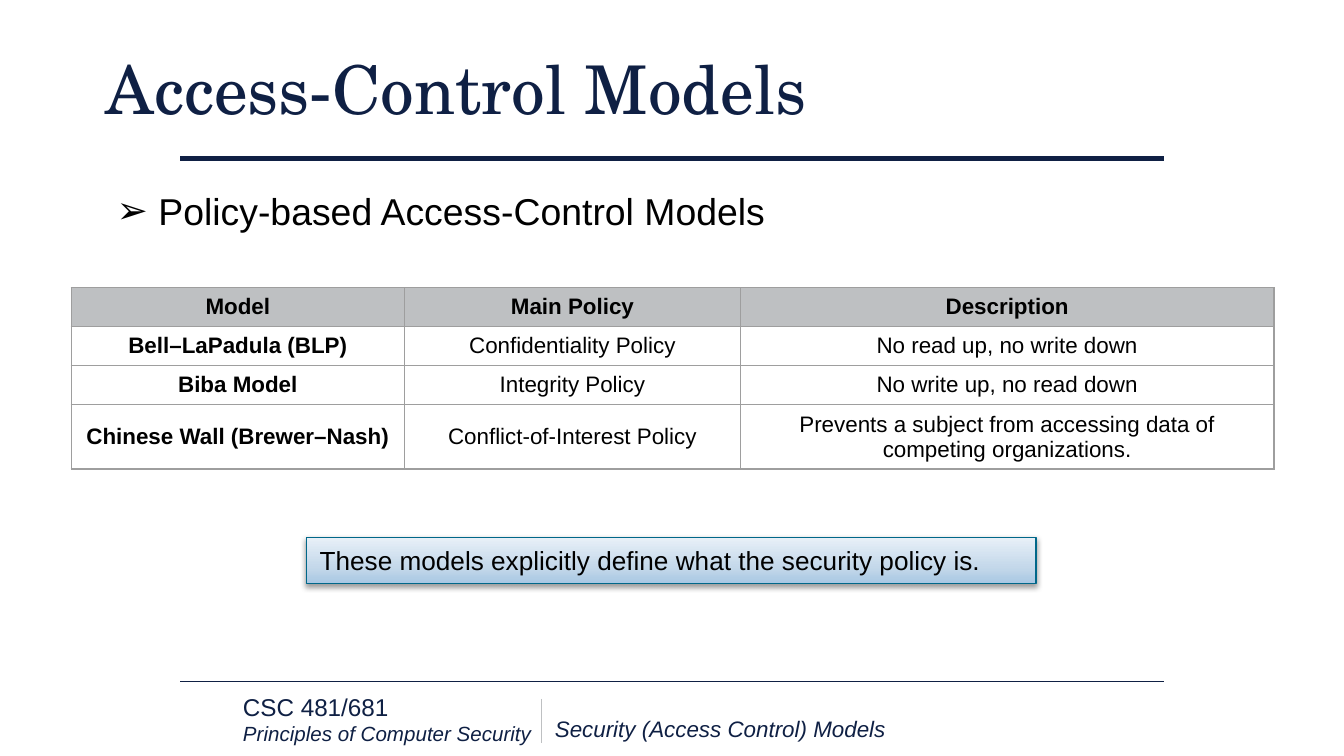
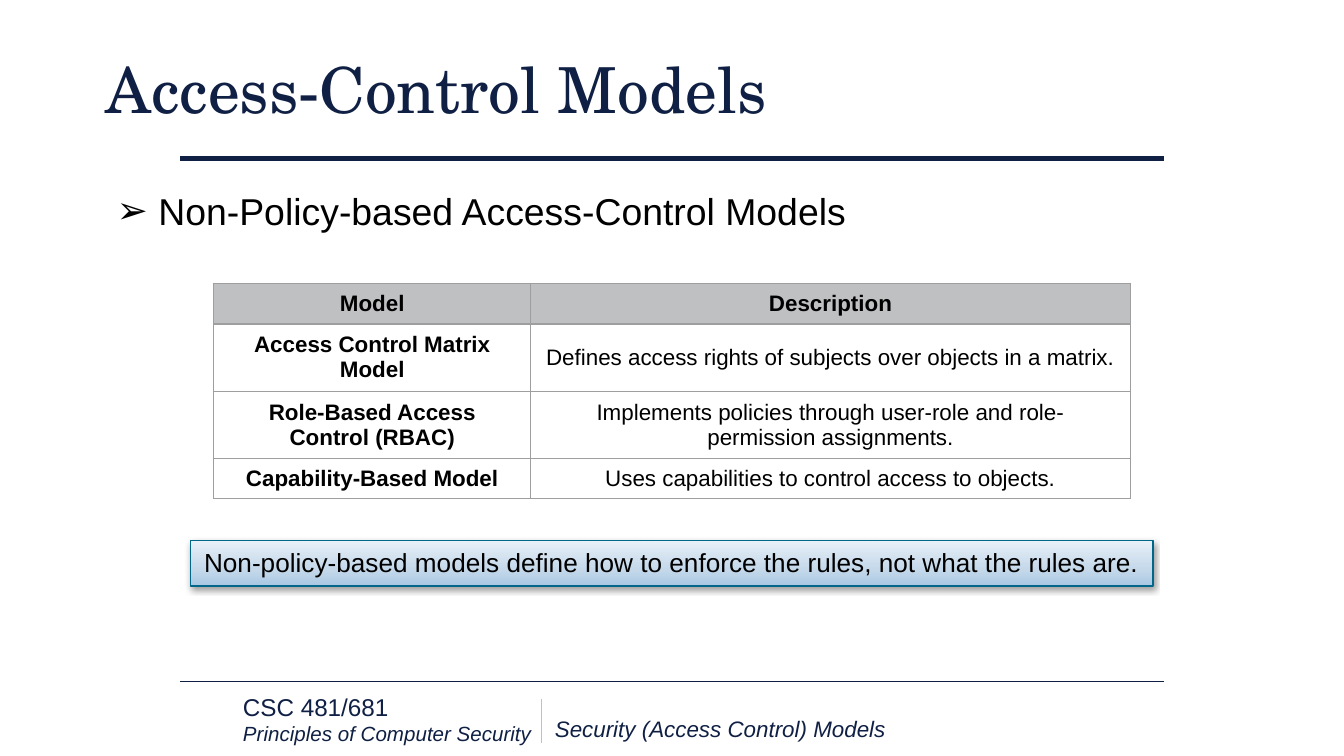
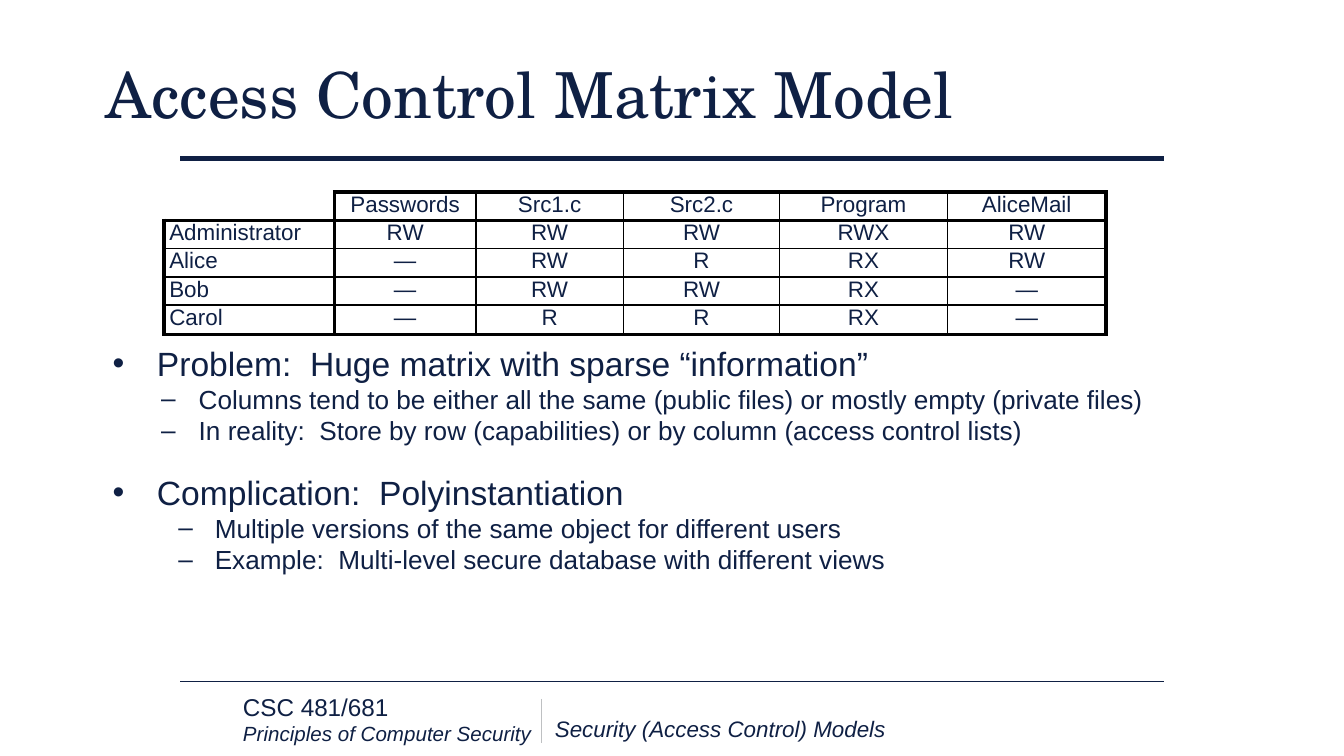
from lxml import etree
from pptx import Presentation
from pptx.dml.color import RGBColor
from pptx.enum.shapes import MSO_CONNECTOR, MSO_SHAPE
from pptx.enum.text import MSO_ANCHOR, PP_ALIGN
from pptx.oxml.ns import qn
from pptx.util import Inches, Pt

STRAIGHT = MSO_CONNECTOR.STRAIGHT
RECTANGLE = MSO_SHAPE.RECTANGLE
TOP, MIDDLE = MSO_ANCHOR.TOP, MSO_ANCHOR.MIDDLE
LEFT, CENTER = PP_ALIGN.LEFT, PP_ALIGN.CENTER

COLORS = {
    "navy": "0F2044",
    "black": "000000",
    "teal": "006789",
    "header": "BEC0C2",
    "grid": "9E9E9E",
    "callout_bottom": "A9C8E3",
    "callout_middle": "C4D8EA",
    "callout_top": "E8F0F8",
}
BODY_FONT = "Arial"
TITLE_FONT = "TeX Gyre Schola"
BLANK_LAYOUT = 6
SLIDE_WIDTH = 10


def rgb(name):
    return RGBColor.from_string(COLORS[name])


def add_xml(parent, tag, **attributes):
    return etree.SubElement(parent, qn(tag), {key: str(value) for key, value in attributes.items()})


def add_xml_color(parent, name):
    return add_xml(parent, "a:srgbClr", val=COLORS[name])


def write(frame, text, size, color="navy", font=BODY_FONT, bold=False, italic=False,
          align=LEFT, line_spacing=None, before=0, bullet=None, indent=0, hanging=0, level=0):
    paragraph = frame.paragraphs[0]
    if paragraph.runs:
        paragraph = frame.add_paragraph()
    paragraph.alignment = align
    paragraph.level = level
    paragraph.space_before = Pt(before)
    if line_spacing:
        paragraph.line_spacing = line_spacing
    if bullet:
        properties = paragraph._p.get_or_add_pPr()
        properties.set("marL", str(Inches(indent)))
        properties.set("indent", str(-Inches(hanging)))
        add_xml_color(add_xml(properties, "a:buClr"), color)
        add_xml(properties, "a:buFont", typeface=BODY_FONT)
        add_xml(properties, "a:buChar", char=bullet)
    if not text:
        add_xml(paragraph._p, "a:endParaRPr", sz=size * 100)
        return
    run = paragraph.add_run()
    run.text = text
    run.font.size = Pt(size)
    run.font.name = font
    run.font.bold = bold
    run.font.italic = italic
    run.font.color.rgb = rgb(color)


class Deck:
    def __init__(self):
        self.presentation = Presentation()
        self.presentation.slide_width = Inches(SLIDE_WIDTH)
        self.presentation.slide_height = Inches(SLIDE_WIDTH * 9 / 16)
        self.slide = None

    def add_slide(self, title, size=34, line_spacing=0.9):
        layout = self.presentation.slide_layouts[BLANK_LAYOUT]
        self.slide = self.presentation.slides.add_slide(layout)
        self.footer()
        self.line(1.34, 1.18, 8.66, 1.18, "navy", 2.25)
        self.line(1.34, 5.07, 8.66, 5.07, "navy", 0.75)
        frame = self.text_box(0.69, 0.3, 8.62, 0.78, anchor=MIDDLE)
        write(frame, title, size, font=TITLE_FONT, line_spacing=line_spacing)

    def footer(self):
        course = self.text_box(1.71, 5.18, 2.4, 0.34, anchor=MIDDLE, inset=0.1)
        write(course, "CSC 481/681", 13)
        write(course, "Principles of Computer Security", 11, italic=True)
        topic = self.text_box(4.03, 5.27, 4.71, 0.3, anchor=MIDDLE, inset=0.1)
        write(topic, "Security (Access Control) Models", 12, italic=True)
        self.line(4.03, 5.2, 4.03, 5.53, "header", 0.75)

    def text_box(self, left, top, width, height, anchor=TOP, inset=0.05, wrap=True):
        shape = self.slide.shapes.add_textbox(*map(Inches, (left, top, width, height)))
        frame = shape.text_frame
        frame.word_wrap = wrap
        frame.vertical_anchor = anchor
        frame.margin_top = frame.margin_bottom = Inches(inset)
        return frame

    def line(self, start_x, start_y, end_x, end_y, color, width):
        ends = map(Inches, (start_x, start_y, end_x, end_y))
        connector = self.slide.shapes.add_connector(STRAIGHT, *ends)
        connector.line.color.rgb = rgb(color)
        connector.line.width = Pt(width)
        add_xml(connector._element.spPr, "a:effectLst")

    def heading(self, text, width):
        frame = self.text_box(0.77, 1.35, width, 0.44, wrap=False)
        write(frame, text, 20, color="black", bullet="➢", indent=0.31, hanging=0.31)

    def callout(self, text, left, top, width):
        shape = self.slide.shapes.add_shape(RECTANGLE, *map(Inches, (left, top, width, 0.34)))
        shape.line.color.rgb = rgb("teal")
        shape.line.width = Pt(0.75)
        shape.fill.gradient()
        shape.fill.gradient_angle = 90
        properties = shape._element.spPr
        stops = properties.find(".//" + qn("a:gsLst"))
        for stop in list(stops):
            stops.remove(stop)
        for percent, color in ((0, "callout_bottom"), (35, "callout_middle"), (100, "callout_top")):
            add_xml_color(add_xml(stops, "a:gs", pos=percent * 1000), color)
        shape.shadow.inherit = False
        shadow = add_xml(properties.find(qn("a:effectLst")), "a:outerShdw", blurRad=Pt(3.1),
                         dist=Pt(1.6), dir=5400000, rotWithShape=0)
        add_xml(add_xml_color(shadow, "black"), "a:alpha", val=38000)
        shape.text_frame.word_wrap = True
        shape.text_frame.vertical_anchor = TOP
        write(shape.text_frame, text, 14, color="black")

    def table(self, left, top, widths, heights, rows, format_cell):
        frame = self.slide.shapes.add_table(
            len(rows), len(widths), Inches(left), Inches(top),
            Inches(sum(widths)), Inches(sum(heights)))
        table = frame.table
        table.first_row = table.horz_banding = False
        for column, width in zip(table.columns, widths):
            column.width = Inches(width)
        for row, height in zip(table.rows, heights):
            row.height = Inches(height)
        for row_index, row in enumerate(rows):
            for column_index, text in enumerate(row):
                cell = table.cell(row_index, column_index)
                cell.fill.background()
                format_cell(cell, text, row_index, column_index)

    def borders(self, cell, color, widths):
        properties = cell._tc.get_or_add_tcPr()
        for position, (side, width) in enumerate(zip("LRTB", widths)):
            border = add_xml(properties, "a:ln" + side, w=Pt(width))
            if width:
                add_xml_color(add_xml(border, "a:solidFill"), color)
            else:
                add_xml(border, "a:noFill")
            properties.insert(position, border)

    def model_table(self, left, top, widths, heights, rows, inset):
        def format_cell(cell, text, row, column):
            cell.vertical_anchor = MIDDLE
            cell.margin_top = cell.margin_bottom = Inches(inset)
            if row == 0:
                cell.fill.solid()
                cell.fill.fore_color.rgb = rgb("header")
            self.borders(cell, "grid", [0.75] * 4)
            write(cell.text_frame, text, 12, color="black", bold=0 in (row, column), align=CENTER)

        self.table(left, top, widths, heights, rows, format_cell)

    def matrix_table(self, left, top, widths, heights, rows):
        def edge_width(edge, count):
            return 2.25 if edge in (0, 1, count) else 1

        def format_cell(cell, text, row, column):
            cell.margin_left = Inches(0 if column else 0.04)
            cell.margin_right = cell.margin_top = cell.margin_bottom = 0
            corner = row == column == 0
            self.borders(cell, "black", (
                0 if corner else edge_width(column, len(widths)),
                edge_width(column + 1, len(widths)),
                0 if corner else edge_width(row, len(heights)),
                edge_width(row + 1, len(heights))))
            write(cell.text_frame, text, 12, align=CENTER if column else LEFT)

        self.table(left, top, widths, heights, rows, format_cell)


def policy_slide(deck):
    deck.add_slide("Access-Control Models", size=36)
    deck.heading("Policy-based Access-Control Models", 5.09)
    deck.model_table(0.53, 2.14, [2.48, 2.5, 3.97], [0.29, 0.29, 0.29, 0.48], [
        ("Model", "Main Policy", "Description"),
        ("Bell–LaPadula (BLP)", "Confidentiality Policy", "No read up, no write down"),
        ("Biba Model", "Integrity Policy", "No write up, no read down"),
        ("Chinese Wall (Brewer–Nash)", "Conflict-of-Interest Policy",
         "Prevents a subject from accessing data of competing organizations."),
    ], inset=0.04)
    deck.callout("These models explicitly define what the security policy is.", 2.28, 4, 5.43)


def non_policy_slide(deck):
    deck.add_slide("Access-Control Models")
    deck.heading("Non-Policy-based Access-Control Models", 5.69)
    deck.model_table(1.59, 2.11, [2.36, 4.46], [0.3, 0.5, 0.5, 0.3], [
        ("Model", "Description"),
        ("Access Control Matrix Model",
         "Defines access rights of subjects over objects in a matrix."),
        ("Role-Based Access Control (RBAC)",
         "Implements policies through user-role and role-permission assignments."),
        ("Capability-Based Model", "Uses capabilities to control access to objects."),
    ], inset=0.05)
    deck.callout("Non-policy-based models define how to enforce the rules, not what the rules are.",
                 1.42, 4.02, 7.16)


def matrix_slide(deck):
    deck.add_slide("Access Control Matrix Model", line_spacing=None)
    body = deck.text_box(0.69, 1.24, 8.96, 3.75)
    body.margin_top = Inches(1.31)
    topics = [
        ("Problem:  Huge matrix with sparse “information”", 0, 0.69, 0.28, (
            "Columns tend to be either all the same (public files) or mostly empty (private files)",
            "In reality:  Store by row (capabilities) or by column (access control lists)")),
        ("Complication:  Polyinstantiation", 14, 0.81, 0.27, (
            "Multiple versions of the same object for different users",
            "Example:  Multi-level secure database with different views")),
    ]
    for topic, before, indent, hanging, details in topics:
        write(body, topic, 18, before=before, bullet="•", indent=0.38, hanging=0.33)
        for detail in details:
            write(body, detail, 14, bullet="–", indent=indent, hanging=hanging, level=1)
    deck.matrix_table(1.22, 1.43, [1.27, 1.05, 1.1, 1.16, 1.25, 1.18], [0.21] * 4 + [0.22], [
        ("", "Passwords", "Src1.c", "Src2.c", "Program", "AliceMail"),
        ("Administrator", "RW", "RW", "RW", "RWX", "RW"),
        ("Alice", "—", "RW", "R", "RX", "RW"),
        ("Bob", "—", "RW", "RW", "RX", "—"),
        ("Carol", "—", "R", "R", "RX", "—"),
    ])


def main():
    deck = Deck()
    policy_slide(deck)
    non_policy_slide(deck)
    matrix_slide(deck)
    deck.presentation.save("out.pptx")


if __name__ == "__main__":
    main()
